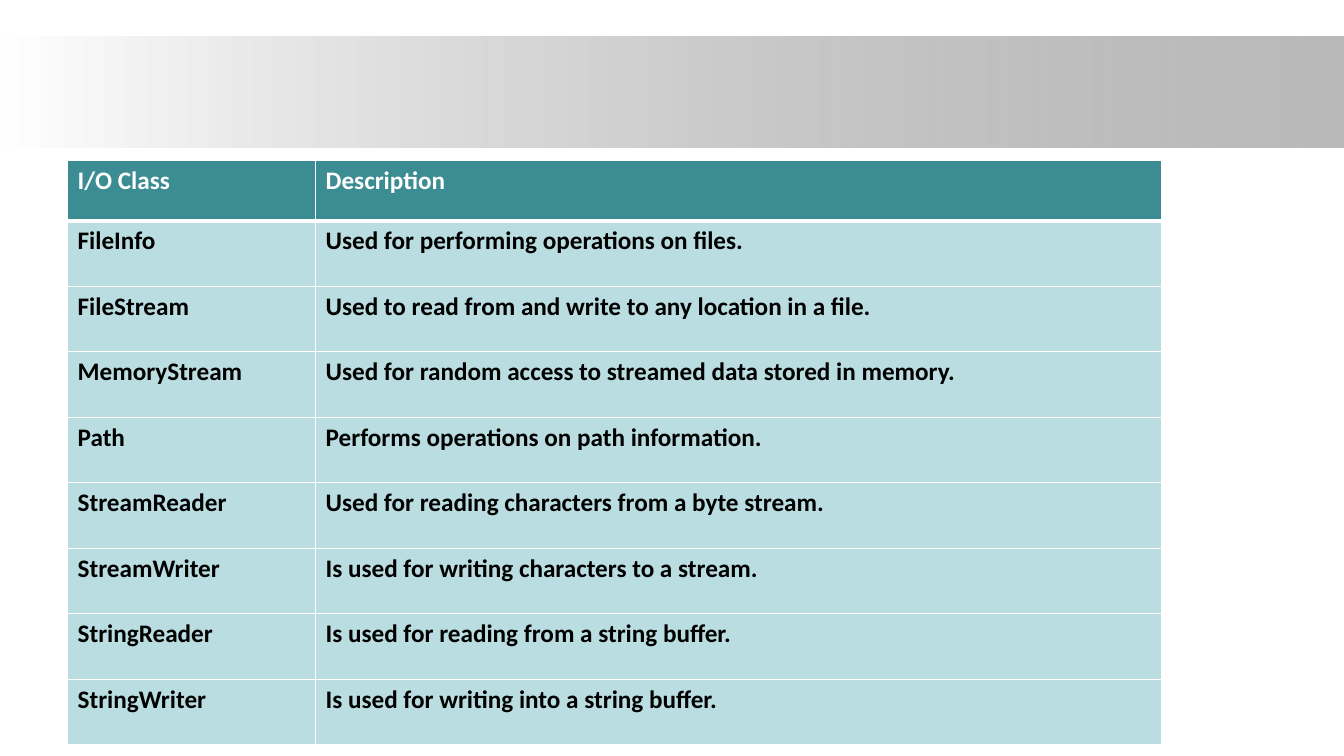
"""Build a slide with a table of I/O classes and their descriptions."""
from lxml import etree
from pptx import Presentation
from pptx.dml.color import RGBColor
from pptx.enum.shapes import MSO_SHAPE
from pptx.oxml.ns import qn
from pptx.util import Inches, Pt

RECTANGLE = MSO_SHAPE.RECTANGLE

ROWS = [
    ("I/O Class", "Description"),
    ("FileInfo", "Used for performing operations on files."),
    ("FileStream", "Used to read from and write to any location in a file."),
    ("MemoryStream", "Used for random access to streamed data stored in memory."),
    ("Path", "Performs operations on path information."),
    ("StreamReader", "Used for reading characters from a byte stream."),
    ("StreamWriter", "Is used for writing characters to a stream."),
    ("StringReader", "Is used for reading from a string buffer."),
    ("StringWriter", "Is used for writing into a string buffer."),
]
PAGE_SIZE = (13.33, 7.5)
BAND_BOX = (0, 0.36, 13.33, 1.1)
TABLE_CORNER = (0.67, 1.59)
COLUMN_WIDTHS = (2.46, 8.39)
HEADER_HEIGHT, ROW_HEIGHT = 0.6, 0.65

THEME = {
    "font": "Calibri",
    "size": 18,
    "header": {"fill": "3C8C93", "text": "FFFFFF", "bottom": 3},
    "body": {"fill": "BADDE1", "text": "000000", "bottom": 1},
    "border": "FFFFFF",
    "band": ("FFFFFF", "808080"),
    "band_alpha": 54,
}


def add_band(page):
    band = page.shapes.add_shape(RECTANGLE, *map(Inches, BAND_BOX))
    band.shadow.inherit = False
    band.line.fill.background()
    band.fill.gradient()
    band.fill.gradient_angle = 0
    for stop, position, color in zip(band.fill.gradient_stops, (0, 1), THEME["band"]):
        stop.position = position
        stop.color.rgb = RGBColor.from_string(color)
    end_color = list(band._element.spPr.iter(qn("a:srgbClr")))[-1]
    etree.SubElement(end_color, qn("a:alpha"), val=str(THEME["band_alpha"] * 1000))


def add_borders(cell, top, bottom):
    properties = cell._tc.get_or_add_tcPr()
    for side, width in {"L": 1, "R": 1, "T": top, "B": bottom}.items():
        line = etree.SubElement(properties, qn(f"a:ln{side}"), w=str(Pt(width)))
        solid = etree.SubElement(line, qn("a:solidFill"))
        etree.SubElement(solid, qn("a:srgbClr"), val=THEME["border"])


def style_cell(cell, text, style, top):
    add_borders(cell, top, style["bottom"])
    cell.fill.solid()
    cell.fill.fore_color.rgb = RGBColor.from_string(style["fill"])
    cell.text = text
    font = cell.text_frame.paragraphs[0].runs[0].font
    formats = {"name": THEME["font"], "size": Pt(THEME["size"]), "bold": True}
    for name, value in formats.items():
        setattr(font, name, value)
    font.color.rgb = RGBColor.from_string(style["text"])


def add_class_table(page):
    heights = [HEADER_HEIGHT] + [ROW_HEIGHT] * (len(ROWS) - 1)
    size = (sum(COLUMN_WIDTHS), sum(heights))
    frame = page.shapes.add_table(
        len(ROWS), len(COLUMN_WIDTHS), *map(Inches, TABLE_CORNER + size))
    table = frame.table
    for column, width in zip(table.columns, COLUMN_WIDTHS):
        column.width = Inches(width)
    for index, (row, height, texts) in enumerate(zip(table.rows, heights, ROWS)):
        row.height = Inches(height)
        style = THEME["body" if index else "header"]
        top = THEME["header"]["bottom"] if index == 1 else 1
        for cell, text in zip(row.cells, texts):
            style_cell(cell, text, style, top)


def main():
    deck = Presentation()
    deck.slide_width, deck.slide_height = map(Inches, PAGE_SIZE)
    page = deck.slides.add_slide(deck.slide_layouts[6])
    add_band(page)
    add_class_table(page)
    deck.save("out.pptx")


if __name__ == "__main__":
    main()
